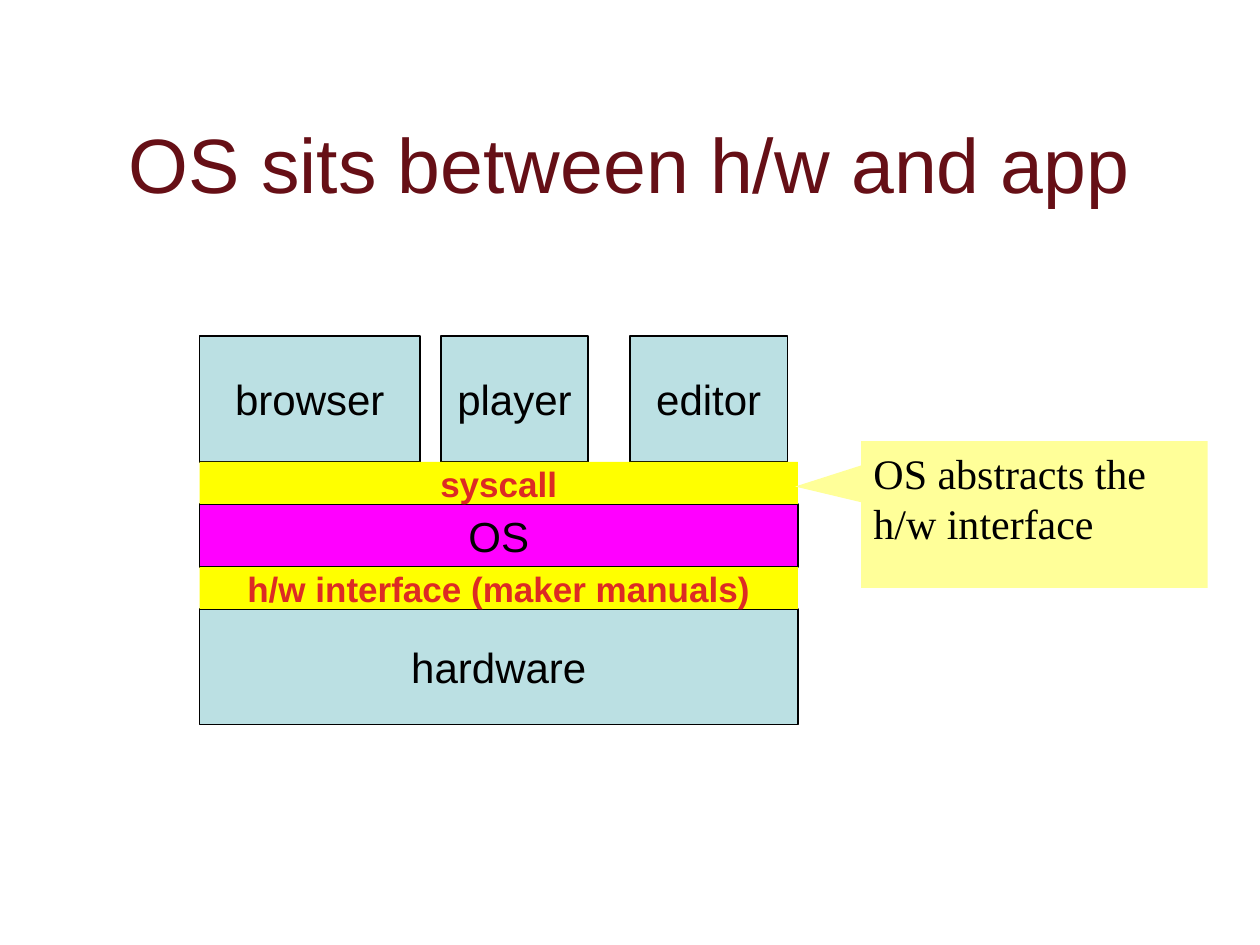
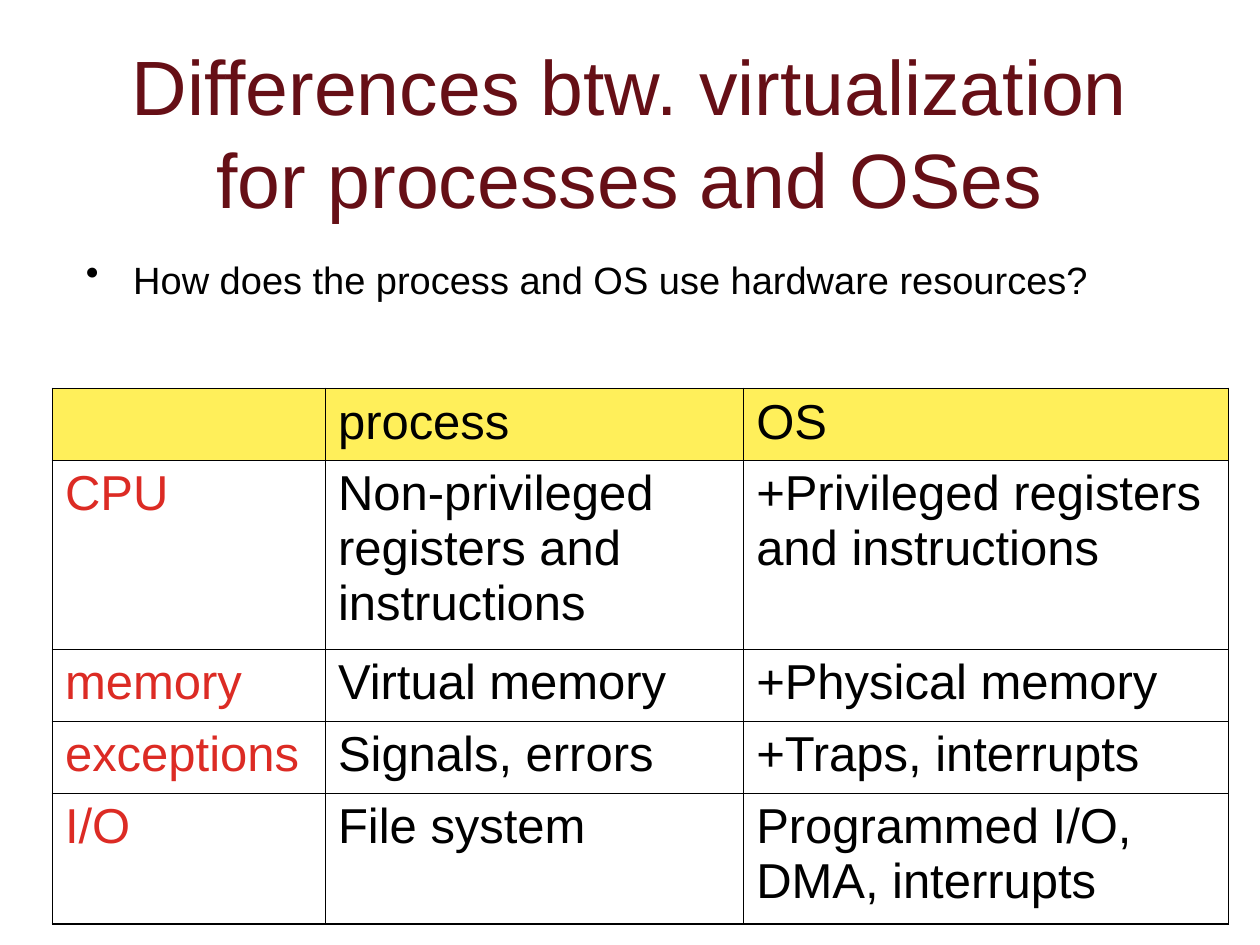
from lxml import etree
from pptx import Presentation
from pptx import util as u
from pptx.dml.color import RGBColor
from pptx.enum import shapes, text
from pptx.oxml import ns

COLORS = {
    "title": "660F16",
    "ink": "000000",
    "accent": "DC2B24",
    "block": "BBE0E3",
    "system": "FF00FF",
    "interface": "FFFF00",
    "callout": "FFFF99",
    "header": "FFEF5A",
}
OUTER_BORDER, INNER_BORDER = 1.08, 0.45
STACK_LEFT, STACK_TOP, STACK_WIDTH, APP_HEIGHT = 114, 192, 342, 72
APPS = [("browser", 114, 126), ("player", 252, 84), ("editor", 360, 90)]
LAYERS = [
    ("syscall", 24, "interface"),
    ("OS", 36, "system"),
    ("h/w interface (maker manuals)", 24, "interface"),
    ("hardware", 66, "block"),
]
COLUMN_WIDTHS = [156, 239, 277]
ROW_HEIGHTS = [41, 108, 41, 41, 75]
RESOURCES = [
    ["", "process", "OS"],
    ["CPU", "Non-privileged registers and instructions",
     "+Privileged registers and instructions"],
    ["memory", "Virtual memory", "+Physical memory"],
    ["exceptions", "Signals, errors", "+Traps, interrupts"],
    ["I/O", "File system", "Programmed I/O, DMA, interrupts"],
]


def rgb(name):
    """Return the named colour."""
    return RGBColor.from_string(COLORS[name])


def points(*lengths):
    """Convert lengths in points."""
    return [u.Pt(length) for length in lengths]


def add_run(paragraph, words, size, color="ink", font="Arial", bold=False):
    """Append one formatted run to a paragraph."""
    run = paragraph.add_run()
    run.text = words
    run.font.size = u.Pt(size)
    run.font.name = font
    run.font.bold = bold
    run.font.color.rgb = rgb(color)


def add_text_box(slide, box):
    """Add a wrapping text box and return its frame."""
    frame = slide.shapes.add_textbox(*points(*box)).text_frame
    frame.word_wrap = True
    return frame


def add_title(slide, words, top):
    """Add the centred slide title."""
    frame = add_text_box(slide, (54, top, 612, 90))
    frame.vertical_anchor = text.MSO_ANCHOR.MIDDLE
    paragraph = frame.paragraphs[0]
    paragraph.alignment = text.PP_ALIGN.CENTER
    add_run(paragraph, words, 44, "title")


def add_filled_shape(slide, kind, box, fill):
    """Add a flat shape without an outline."""
    shape = slide.shapes.add_shape(kind, *points(*box))
    shape.shadow.inherit = False
    shape.fill.solid()
    shape.fill.fore_color.rgb = rgb(fill)
    shape.line.fill.background()
    return shape


def add_block(slide, words, box, fill):
    """Add a labelled block; interface bands are bold and borderless."""
    shape = add_filled_shape(slide, shapes.MSO_SHAPE.RECTANGLE, box, fill)
    frame = shape.text_frame
    frame.word_wrap = False
    frame.vertical_anchor = text.MSO_ANCHOR.MIDDLE
    paragraph = frame.paragraphs[0]
    paragraph.alignment = text.PP_ALIGN.CENTER
    if fill == "interface":
        add_run(paragraph, words, 20, "accent", bold=True)
    else:
        shape.line.color.rgb = rgb("ink")
        shape.line.width = u.Pt(0.75)
        add_run(paragraph, words, 24)


def add_stack(slide):
    """Add the applications and the layers beneath them."""
    blocks = [(name, (left, STACK_TOP, width, APP_HEIGHT), "block")
              for name, left, width in APPS]
    top = STACK_TOP + APP_HEIGHT
    for name, height, fill in LAYERS:
        blocks.append((name, (STACK_LEFT, top, STACK_WIDTH, height), fill))
        top += height
    for block in sorted(blocks, key=lambda item: item[2] == "interface"):
        add_block(slide, *block)


def add_callout(slide, words, box, tip):
    """Add a callout whose tip is an offset relative to its size."""
    shape = add_filled_shape(
        slide, shapes.MSO_SHAPE.RECTANGULAR_CALLOUT, box, "callout")
    shape.adjustments[0], shape.adjustments[1] = tip
    frame = shape.text_frame
    frame.word_wrap = True
    frame.vertical_anchor = text.MSO_ANCHOR.TOP
    paragraph = frame.paragraphs[0]
    paragraph.alignment = text.PP_ALIGN.LEFT
    add_run(paragraph, words, 24, font="Times New Roman")


def add_bullet(slide, words, box):
    """Add a bulleted line of body text."""
    paragraph = add_text_box(slide, box).paragraphs[0]
    paragraph.line_spacing = 0.7
    paragraph.space_before = u.Pt(7)
    add_run(paragraph, words, 21.7)
    properties = paragraph._p.get_or_add_pPr()
    properties.set("marL", str(u.Pt(27)))
    properties.set("indent", str(u.Pt(-27)))
    etree.SubElement(properties, ns.qn("a:buChar"), char="•")


def set_border(cell, side, width):
    """Draw one side of a table cell."""
    line = etree.SubElement(cell._tc.get_or_add_tcPr(), ns.qn("a:ln" + side),
                            w=str(u.Pt(width)))
    fill = etree.SubElement(line, ns.qn("a:solidFill"))
    etree.SubElement(fill, ns.qn("a:srgbClr"), val=COLORS["ink"])


def fill_cell(cell, words, row, column):
    """Write and style one cell by its place in the table."""
    outer_sides = {
        "L": column == 0,
        "R": column == len(COLUMN_WIDTHS) - 1,
        "T": row == 0,
        "B": row == len(ROW_HEIGHTS) - 1,
    }
    for side, outer in outer_sides.items():
        set_border(cell, side, OUTER_BORDER if outer else INNER_BORDER)
    if row == 0:
        cell.fill.solid()
        cell.fill.fore_color.rgb = rgb("header")
    else:
        cell.fill.background()
    if words:
        paragraph = cell.text_frame.paragraphs[0]
        paragraph.space_before = u.Pt(7)
        add_run(paragraph, words, 28, "ink" if column else "accent")


def add_resource_table(slide, left, top):
    """Add the table of hardware resources."""
    table = slide.shapes.add_table(
        len(ROW_HEIGHTS), len(COLUMN_WIDTHS),
        *points(left, top, sum(COLUMN_WIDTHS), sum(ROW_HEIGHTS))).table
    table.first_row = table.horz_banding = False
    for column, width in zip(table.columns, COLUMN_WIDTHS):
        column.width = u.Pt(width)
    for row, height in zip(table.rows, ROW_HEIGHTS):
        row.height = u.Pt(height)
    for row, entries in enumerate(RESOURCES):
        for column, words in enumerate(entries):
            fill_cell(table.cell(row, column), words, row, column)


def main():
    """Build both slides and save the presentation."""
    presentation = Presentation()
    presentation.slide_width, presentation.slide_height = points(720, 540)
    blank = presentation.slide_layouts[6]

    slide = presentation.slides.add_slide(blank)
    add_title(slide, "OS sits between h/w and app", 48)
    add_stack(slide)
    add_callout(slide, "OS abstracts the h/w interface",
                (492, 252, 198, 84), (-0.69, -0.19))

    slide = presentation.slides.add_slide(blank)
    add_title(slide, "Differences btw. virtualization for processes and OSes", 30)
    add_bullet(slide, "How does the process and OS use hardware resources?",
               (42, 150, 630, 48))
    add_resource_table(slide, 30, 222)

    presentation.save("out.pptx")


if __name__ == "__main__":
    main()
